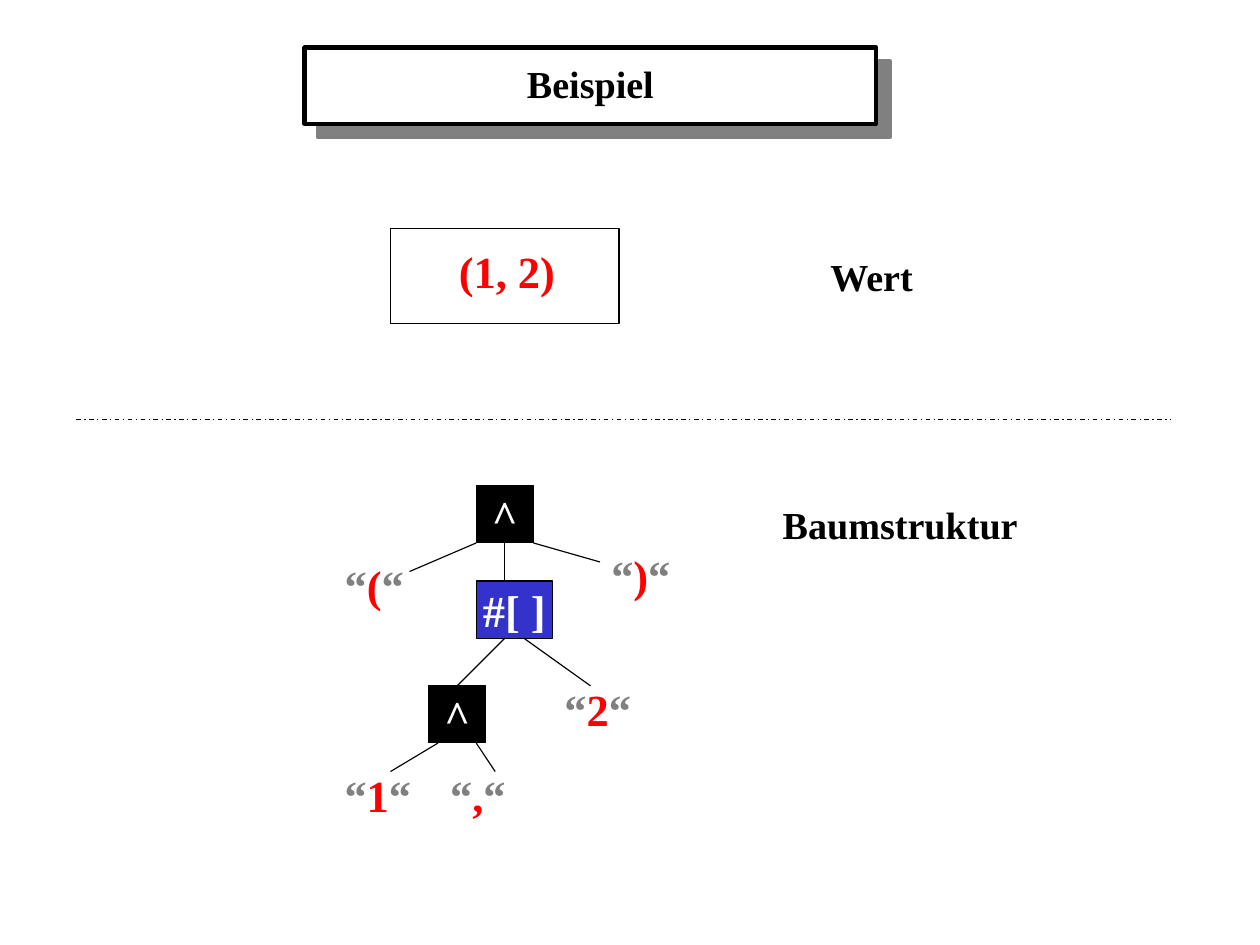
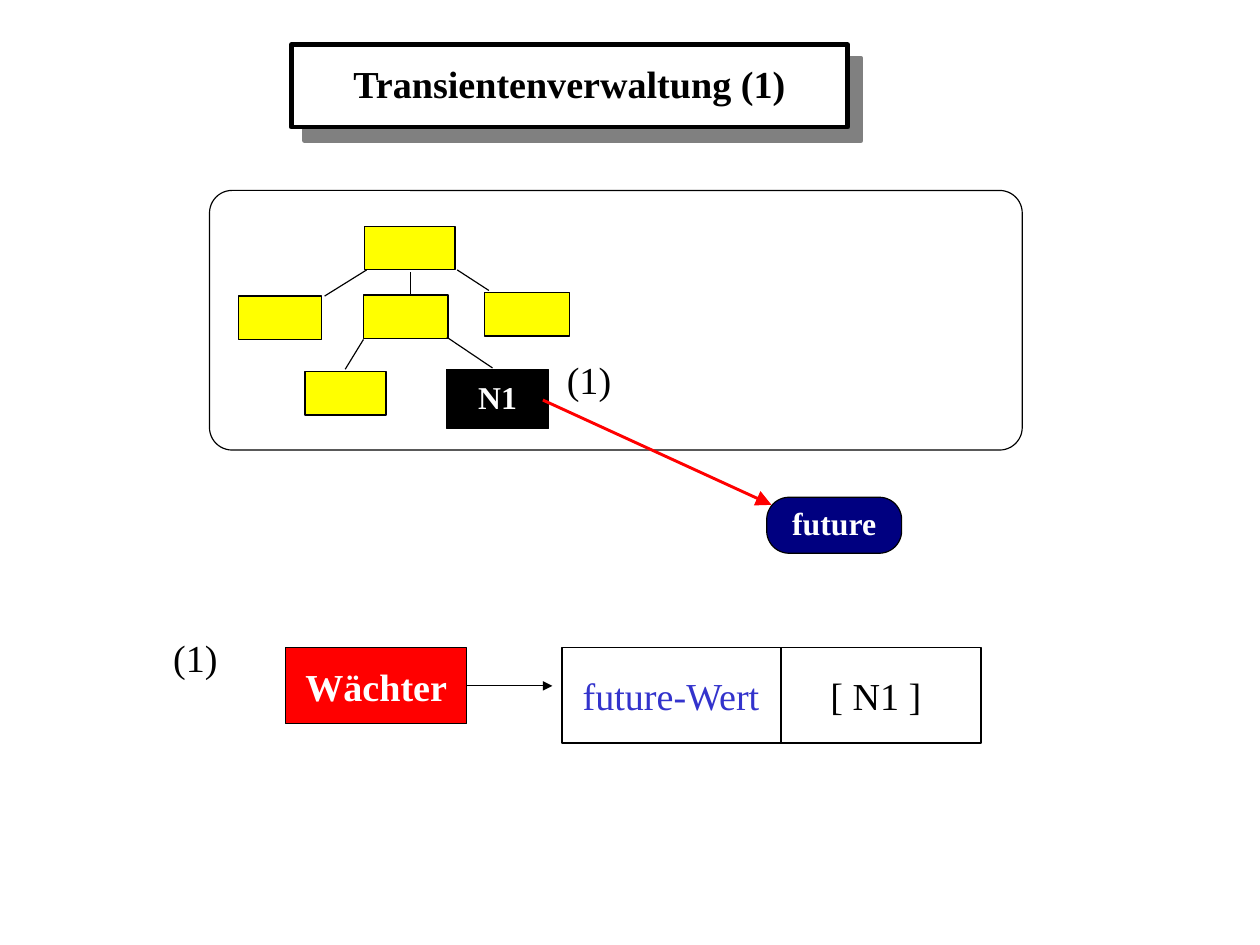
from lxml.etree import SubElement
from pptx import Presentation
from pptx.dml.color import RGBColor
from pptx.enum.dml import MSO_LINE
from pptx.enum.shapes import MSO_CONNECTOR, MSO_SHAPE
from pptx.enum.text import MSO_ANCHOR, PP_ALIGN
from pptx.oxml.ns import qn
from pptx.util import Pt

BLACK = RGBColor(0x00, 0x00, 0x00)
WHITE = RGBColor(0xFF, 0xFF, 0xFF)
RED = RGBColor(0xFF, 0x00, 0x00)
GRAY = RGBColor(0x80, 0x80, 0x80)
BLUE = RGBColor(0x33, 0x33, 0xCC)
NAVY = RGBColor(0x00, 0x00, 0x80)
YELLOW = RGBColor(0xFF, 0xFF, 0x00)
FONT = "Times New Roman"
HAIRLINE = 0.75
TIGHT = 0.93


def add_box(slide, bounds, runs=(), size=24, bold=True, kind=MSO_SHAPE.RECTANGLE,
            fill=None, line_width=HAIRLINE, rounding=None, spacing=None):
    """Add an outlined shape, or a left-aligned label if kind is None; runs are (text, colour)."""
    lengths = [Pt(value) for value in bounds]
    is_label = kind is None
    if is_label:
        shape = slide.shapes.add_textbox(*lengths)
        shape.text_frame.margin_right = 0
    else:
        shape = slide.shapes.add_shape(kind, *lengths)
        shape.shadow.inherit = False
        shape.line.color.rgb = BLACK
        shape.line.width = Pt(line_width)
        if rounding is not None:
            shape.adjustments[0] = rounding
        if fill is None:
            shape.fill.background()
        else:
            shape.fill.solid()
            shape.fill.fore_color.rgb = fill
    frame = shape.text_frame
    frame.word_wrap = is_label
    frame.vertical_anchor = MSO_ANCHOR.TOP if is_label else MSO_ANCHOR.MIDDLE
    paragraph = frame.paragraphs[0]
    paragraph.alignment = PP_ALIGN.LEFT if is_label else PP_ALIGN.CENTER
    if spacing is not None:
        paragraph.line_spacing = spacing
    for text, color in runs:
        run = paragraph.add_run()
        run.text = text
        run.font.name = FONT
        run.font.size = Pt(size)
        run.font.bold = bold
        run.font.color.rgb = color
    return shape


def add_line(slide, ends, color=BLACK, width=HAIRLINE, head=None):
    """Add a straight line; head is the arrowhead size, such as "med"."""
    line = slide.shapes.add_connector(MSO_CONNECTOR.STRAIGHT, *[Pt(value) for value in ends])
    line.line.color.rgb = color
    line.line.width = Pt(width)
    if head:
        outline = line._element.spPr.find(qn("a:ln"))
        SubElement(outline, qn("a:tailEnd"), type="triangle", w=head, len=head)
    SubElement(line._element.spPr, qn("a:effectLst"))
    return line


presentation = Presentation()
presentation.slide_width = Pt(793.75)
presentation.slide_height = Pt(595.25)

# Titles with their hard shadow
slides = []
for title, bounds in (
    ("Beispiel", (192, 30, 360, 48)),
    ("Transientenverwaltung (1)", (183.5, 28.2, 350.5, 52)),
):
    slide = presentation.slides.add_slide(presentation.slide_layouts[6])
    title_box = add_box(slide, bounds, [(title, BLACK)], fill=WHITE, line_width=2.83,
                        spacing=TIGHT)
    effects = title_box._element.spPr.find(qn("a:effectLst"))
    shadow = SubElement(effects, qn("a:outerShdw"), dist=str(Pt(12)), dir="2700000",
                        algn="tl", rotWithShape="0")
    SubElement(shadow, qn("a:srgbClr"), val=str(GRAY))
    slides.append(slide)
example_slide, transient_slide = slides

# Beispiel: value above, tree below
add_box(example_slide, (246, 144, 144, 60), fill=WHITE)
add_box(example_slide, (282, 150, 75, 41), [("(1, 2)", RED)], size=28, kind=None)
add_box(example_slide, (516, 156, 67.7, 36), [("Wert", BLACK)], kind=None)
add_box(example_slide, (486, 312, 162, 36), [("Baumstruktur", BLACK)], kind=None)
divider = add_line(example_slide, (48, 264, 738, 264))
divider.line.dash_style = MSO_LINE.DASH_DOT

for text, left, top, width, fill in (
    ("#[ ]", 300, 366, 48, BLUE),
    ("^", 300, 306, 36, BLACK),
    ("^", 270, 432, 36, BLACK),
):
    add_box(example_slide, (left, top, width, 36), [(text, WHITE)], size=28, fill=fill)

for ends in (
    (318, 342, 318, 366), (300, 342, 258, 360), (336, 342, 378, 354),
    (318, 402, 288, 432), (330, 402, 372, 432),
    (276, 468, 246, 486), (300, 468, 312, 486),
):
    add_line(example_slide, ends)

for token, left, top, width in (
    ("(", 210, 348, 51), (")", 378, 342, 51), ("2", 348.5, 426, 56),
    ("1", 210, 480, 56), (",", 276.5, 480, 49),
):
    quoted = [("“", GRAY), (token, RED), ("“", GRAY)]
    add_box(example_slide, (left, top, width, 41), quoted, size=28, kind=None)

# Transientenverwaltung: tree in a frame
add_box(transient_slide, (132, 120, 512, 163.5), kind=MSO_SHAPE.ROUNDED_RECTANGLE,
        rounding=0.087)
for left, top, width in (
    (229.7, 142.6, 57), (305.3, 184.3, 53.3), (150.5, 186.5, 52),
    (229, 185.8, 53.3), (192.2, 234, 51),
):
    add_box(transient_slide, (left, top, width, 27.4), fill=YELLOW)
add_box(transient_slide, (281.5, 232.6, 64, 37.4), [("N1", WHITE)], size=20, fill=BLACK,
        spacing=TIGHT)
for ends in (
    (288, 170, 308, 183), (231, 170, 204.5, 186.5), (258.5, 171.4, 258.5, 185.8),
    (229, 213.8, 217.5, 232.6), (281.5, 212.4, 310.3, 231.8),
):
    add_line(transient_slide, ends)

add_box(transient_slide, (483, 313.2, 85, 35.3), [("future", WHITE)], size=20,
        kind=MSO_SHAPE.ROUNDED_RECTANGLE, fill=NAVY, rounding=0.4, spacing=TIGHT)
add_line(transient_slide, (342, 252, 486, 318), RED, 1.84, head="lg")

# Guard and its record
add_box(transient_slide, (180, 408, 114, 48), [("Wächter", WHITE)], fill=RED)
add_line(transient_slide, (294, 432, 348, 432), head="med")
add_box(transient_slide, (354, 408, 264, 60), fill=WHITE)
add_line(transient_slide, (492, 408, 492, 468))
for text, left, top, width, color in (
    ("(1)", 350, 221, 42.5, BLACK),
    ("(1)", 102, 396, 42.5, BLACK),
    ("future-Wert", 360, 420, 127.4, BLUE),
    ("[ N1 ]", 516, 420, 71.3, BLACK),
):
    add_box(transient_slide, (left, top, width, 36), [(text, color)], bold=False, kind=None)

presentation.save("out.pptx")
